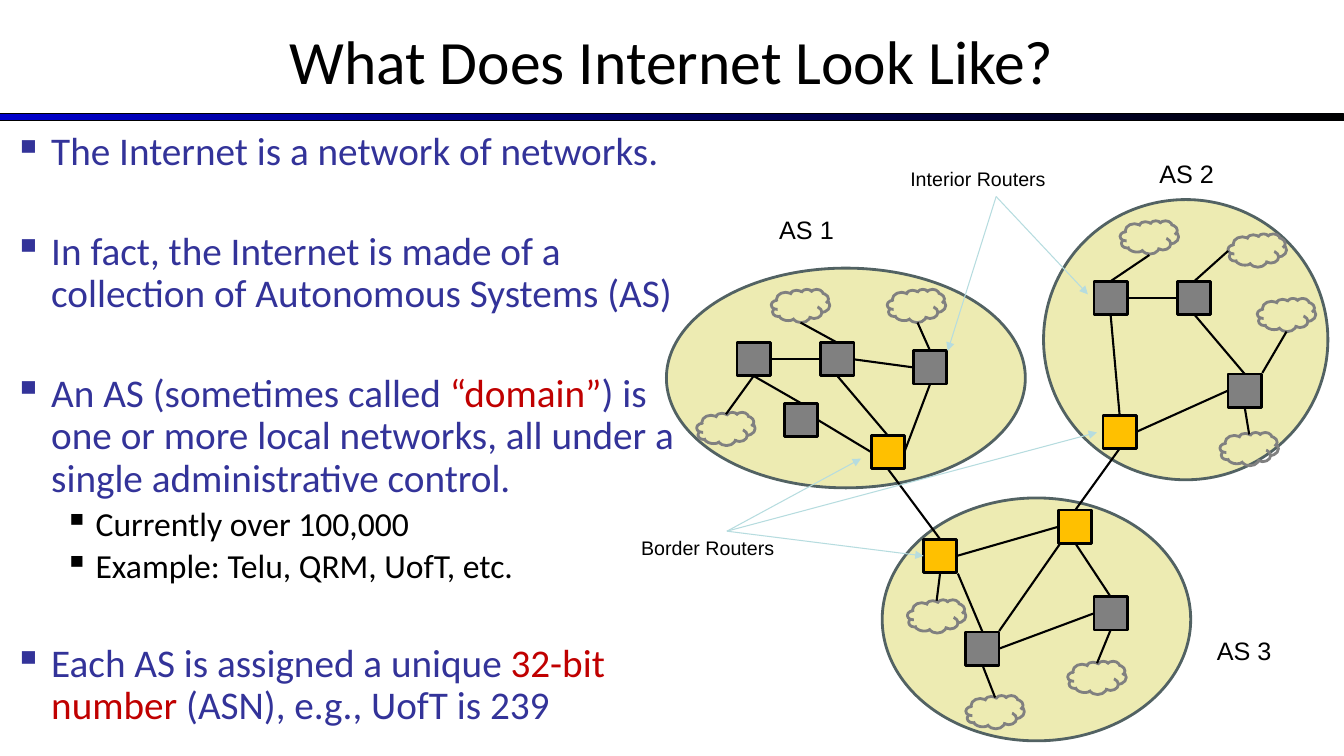
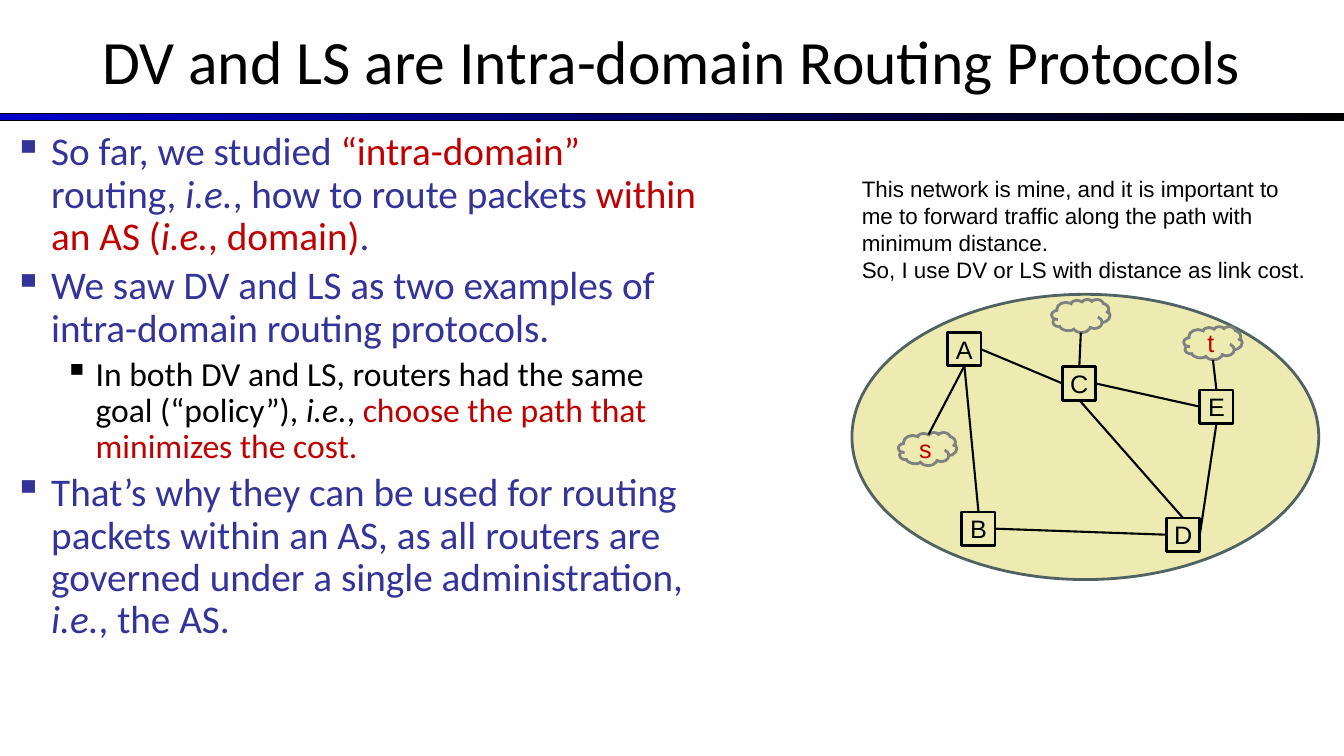
from lxml.etree import SubElement
from pptx import Presentation
from pptx.dml.color import RGBColor
from pptx.enum.shapes import MSO_CONNECTOR, MSO_SHAPE
from pptx.enum.text import MSO_ANCHOR, PP_ALIGN
from pptx.oxml.ns import qn
from pptx.util import Inches, Pt

# Shared look
BLACK, RED, GREY, BORDER = "000000", "C00000", "808080", "FFC000"
AS_FILL, AS_LINE, ARROW = "C5C000", "526263", "B6DCDF"
ROUTER, CLOUD_W, CLOUD_H = 0.33, 0.58, 0.33
LEVELS = [
    {"size": 28, "color": "333399", "left": 0.37, "hang": 0.37, "before": 5},
    {"size": 24, "color": BLACK, "left": 0.81, "hang": 0.31, "before": 4.5},
]
WIDE_GAP = 41  # points before a paragraph that opens a new group


def rgb(hex_color):
    return RGBColor.from_string(hex_color)


def add_shape(s, kind, box, fill, line, width, label="", color=BLACK):
    sp = s.shapes.add_shape(kind, *[Inches(v) for v in box])
    sp.shadow.inherit = False
    if fill:
        sp.fill.solid()
        sp.fill.fore_color.rgb = rgb(fill)
    else:
        sp.fill.background()
    sp.line.color.rgb = rgb(line)
    sp.line.width = Pt(width)
    if label:
        tf = sp.text_frame
        for name in ("margin_left", "margin_top", "margin_right", "margin_bottom"):
            setattr(tf, name, 0)
        tf.word_wrap = False
        tf.vertical_anchor = MSO_ANCHOR.MIDDLE
        p = tf.paragraphs[0]
        p.alignment = PP_ALIGN.CENTER
        r = p.add_run()
        r.text = label
        for name, value in {"name": "Arial", "size": Pt(18)}.items():
            setattr(r.font, name, value)
        r.font.color.rgb = rgb(color)
    return sp


# Content
# bullets: level, opens a group, runs of (text, style), where r is red and i italic
# routers: name -> left, top, fill, label; clouds: left, top, label
# links and arrows: each end is a point or a router name plus its side number
# labels: left, top, width, height, size, lines
slides = [
    {
        "title": "What Does Internet Look Like?",
        "bullets": [
            (0, False, [("The Internet is a network of networks.", "")]),
            (0, True, [("In fact, the Internet is made of a collection of "
                        "Autonomous Systems (AS)", "")]),
            (0, True, [("An AS (sometimes called ", ""), ("“domain”", "r"),
                       (") is one or more local networks, all under a single "
                        "administrative control.", "")]),
            (1, False, [("Currently over 100,000", "")]),
            (1, False, [("Example: Telu, QRM, UofT, etc.", "")]),
            (0, True, [("Each AS is assigned a unique ", ""), ("32-bit number", "r"),
                       (" (ASN), e.g., UofT is 239", "")]),
        ],
        "systems": [(10.35, 1.98, 2.82, 2.78), (8.75, 4.94, 3.06, 2.41),
                    (6.61, 2.66, 3.56, 2.18)],
        "routers": {
            "1a": (7.31, 3.4, GREY, ""), "1b": (8.14, 3.4, GREY, ""),
            "1c": (7.78, 4, GREY, ""), "1d": (8.64, 4.32, BORDER, ""),
            "1e": (9.06, 3.48, GREY, ""),
            "2a": (10.85, 2.79, GREY, ""), "2b": (11.68, 2.79, GREY, ""),
            "2c": (12.18, 3.71, GREY, ""), "2d": (10.94, 4.12, BORDER, ""),
            "3a": (9.16, 5.35, BORDER, ""), "3b": (10.5, 5.06, BORDER, ""),
            "3c": (9.58, 6.27, GREY, ""), "3d": (10.85, 5.92, GREY, ""),
        },
        "clouds": [(8.8, 2.87, ""), (7.65, 2.87, ""), (6.91, 4.09, ""),
                   (12.18, 2.32, ""), (11.11, 2.19, ""), (12.1, 4.29, ""),
                   (12.47, 2.96, ""), (9, 5.95, ""), (10.59, 6.56, ""),
                   (9.58, 6.9, "")],
        "links": [
            ("1a3", "1b1"), ((7.2, 4.11), "1a2"), ("1c0", "1a2"), ("1c3", "1d1"),
            ("1b2", "1d0"), ("1b3", "1e1"), ("1d3", "1e2"), ("1e0", (9.1, 3.2)),
            ("1b0", (7.94, 3.2)),
            ("2a3", "2b1"), ((11.4, 2.53), "2a0"), ((12.18, 2.49), "2b0"),
            ("2b2", "2c0"), ("2c1", "2d3"), ((12.76, 3.29), (12.52, 3.7)),
            ("2a2", "2d0"), ((12.39, 4.31), "2c2"),
            ((9.29, 5.96), "3a2"), ("3c0", (9.5, 5.69)), ((9.87, 6.92), "3c2"),
            ("3d1", "3c3"), ("3d2", (10.88, 6.58)), ("3d0", "3b2"),
            ("3b1", "3a3"), ((10.51, 5.4), (9.91, 6.26)),
            ("3a0", "1d2"), ("3b0", "2d2"),
        ],
        "arrows": [((7.21, 5.27), (8.54, 4.55)), ((7.21, 5.27), "3a1"),
                   ((7.21, 5.27), (10.88, 4.29)), ((9.88, 1.95), (9.4, 3.48)),
                   ((9.88, 1.95), (10.79, 2.92))],
        "labels": [
            (7.63, 2.08, 1.04, 0.4, 18, ["AS 1"]),
            (11.4, 1.52, 1.04, 0.4, 18, ["AS 2"]),
            (11.97, 6.25, 1.04, 0.4, 18, ["AS 3"]),
            (6.26, 5.27, 1.91, 0.34, 14, ["Border Routers"]),
            (8.93, 1.61, 1.91, 0.34, 14, ["Interior Routers"]),
        ],
    },
    {
        "title": "DV and LS are Intra-domain Routing Protocols",
        "bullets": [
            (0, False, [("So far, we studied ", ""), ("“intra-domain” ", "r"),
                        ("routing, ", ""), ("i.e.", "i"),
                        (", how to route packets ", ""), ("within an AS (", "r"),
                        ("i.e.", "ri"), (", domain)", "r"), (".", "")]),
            (0, False, [("We saw DV and LS as two examples of intra-domain "
                         "routing protocols.", "")]),
            (1, False, [("In both DV and LS, routers had the same goal "
                         "(“policy”), ", ""), ("i.e.", "i"), (",", ""),
                        (" choose the path that minimizes the cost.", "r")]),
            (0, False, [("That’s why they can be used for routing packets within "
                         "an AS, as all routers are governed under a single "
                         "administration, ", ""), ("i.e.", "i"), (", the AS.", "")]),
        ],
        "systems": [(8.45, 2.92, 4.63, 2.83)],
        "routers": {
            "A": (9.4, 3.3, None, "A"), "B": (9.54, 5.08, None, "B"),
            "C": (10.54, 3.64, None, "C"), "D": (11.57, 5.14, None, "D"),
            "E": (11.9, 3.87, None, "E"),
        },
        "clouds": [(11.74, 3.24, "t"), (10.43, 2.97, ""), (8.91, 4.29, "s")],
        "links": [("A3", "C1"), ((9.21, 4.31), "A2"), ("B0", "A2"), ("B3", "D1"),
                  ("C2", "D0"), ("C3", "E1"), ("D3", "E2"), ("E0", (12.03, 3.57)),
                  ("C0", (10.72, 3.3))],
        "arrows": [],
        "labels": [
            (8.45, 1.69, 4.63, 1.21, 16,
             ["This network is mine, and it is important to me to forward traffic "
              "along the path with minimum distance.",
              "So, I use DV or LS with distance as link cost."]),
        ],
    },
]

prs = Presentation()
prs.slide_width, prs.slide_height = Inches(13.33), Inches(7.5)

for content in slides:
    s = prs.slides.add_slide(prs.slide_layouts[5])

    # Title
    title = s.shapes.title
    place = {"left": 0, "top": -0.03, "width": 13.33, "height": 1.25}
    for name, value in place.items():
        setattr(title, name, Inches(value))
    title.text_frame.vertical_anchor = MSO_ANCHOR.MIDDLE
    p = title.text_frame.paragraphs[0]
    p.alignment = PP_ALIGN.CENTER
    r = p.add_run()
    r.text = content["title"]
    for name, value in {"name": "Calibri", "size": Pt(44)}.items():
        setattr(r.font, name, value)
    r.font.color.rgb = rgb(BLACK)

    # Band under the title
    band = add_shape(s, MSO_SHAPE.RECTANGLE, (0, 1.13, 13.33, 0.07),
                     BLACK, BLACK, 0.75)
    band.fill.gradient()
    band.fill.gradient_angle = 0
    for stop, color, position in zip(band.fill.gradient_stops,
                                     ("0000CC", BLACK), (0, 1)):
        stop.color.rgb = rgb(color)
        stop.position = position

    # Autonomous systems, see-through
    for box in content["systems"]:
        sp = add_shape(s, MSO_SHAPE.OVAL, box, AS_FILL, AS_LINE, 2)
        color = sp._element.spPr.find(qn("a:solidFill")).find(qn("a:srgbClr"))
        SubElement(color, qn("a:alpha"), val="30000")

    # Routers and local networks
    routers = {}
    for name, (x, y, fill, label) in content["routers"].items():
        routers[name] = add_shape(s, MSO_SHAPE.RECTANGLE, (x, y, ROUTER, ROUTER),
                                  fill, BLACK, 2, label)
    for x, y, label in content["clouds"]:
        add_shape(s, MSO_SHAPE.CLOUD, (x, y, CLOUD_W, CLOUD_H),
                  None, GREY, 2, label, RED)

    # Bulleted text
    box = s.shapes.add_textbox(Inches(0.04), Inches(1.26), Inches(7.03), Inches(6.09))
    tf = box.text_frame
    tf.word_wrap = True
    for i, (level, opens_group, runs) in enumerate(content["bullets"]):
        look = LEVELS[level]
        p = tf.add_paragraph() if i else tf.paragraphs[0]
        p.level = level
        pPr = p._p.get_or_add_pPr()
        pPr.set("marL", str(Inches(look["left"])))
        pPr.set("indent", str(-Inches(look["hang"])))
        SubElement(SubElement(pPr, qn("a:buClr")), qn("a:srgbClr"), val=look["color"])
        SubElement(pPr, qn("a:buChar"), char="▪")
        p.line_spacing = 0.9
        if i:
            p.space_before = Pt(WIDE_GAP if opens_group else look["before"])
        for text, style in runs:
            r = p.add_run()
            r.text = text
            font = {"name": "Calibri", "size": Pt(look["size"]), "italic": "i" in style}
            for name, value in font.items():
                setattr(r.font, name, value)
            r.font.color.rgb = rgb(RED if "r" in style else look["color"])

    # Labels
    for x, y, w, h, size, lines in content["labels"]:
        tf = s.shapes.add_textbox(Inches(x), Inches(y), Inches(w), Inches(h)).text_frame
        tf.word_wrap = True
        for i, line in enumerate(lines):
            p = tf.add_paragraph() if i else tf.paragraphs[0]
            r = p.add_run()
            r.text = line
            for name, value in {"name": "Arial", "size": Pt(size)}.items():
                setattr(r.font, name, value)
            r.font.color.rgb = rgb(BLACK)

    # Links between routers and networks, then pointers from the labels
    for kind, color, width in (("links", BLACK, 1.5), ("arrows", ARROW, 0.75)):
        for ends in content[kind]:
            points = [(0, 0) if isinstance(end, str) else end for end in ends]
            c = s.shapes.add_connector(MSO_CONNECTOR.STRAIGHT,
                                       *[Inches(v) for point in points for v in point])
            for end, connect in zip(ends, (c.begin_connect, c.end_connect)):
                if isinstance(end, str):
                    connect(routers[end[:-1]], int(end[-1]))
            c.line.color.rgb = rgb(color)
            c.line.width = Pt(width)
            spPr = c._element.spPr
            if kind == "arrows":
                SubElement(spPr.find(qn("a:ln")), qn("a:tailEnd"), type="triangle")
            SubElement(spPr, qn("a:effectLst"))

prs.save("out.pptx")
